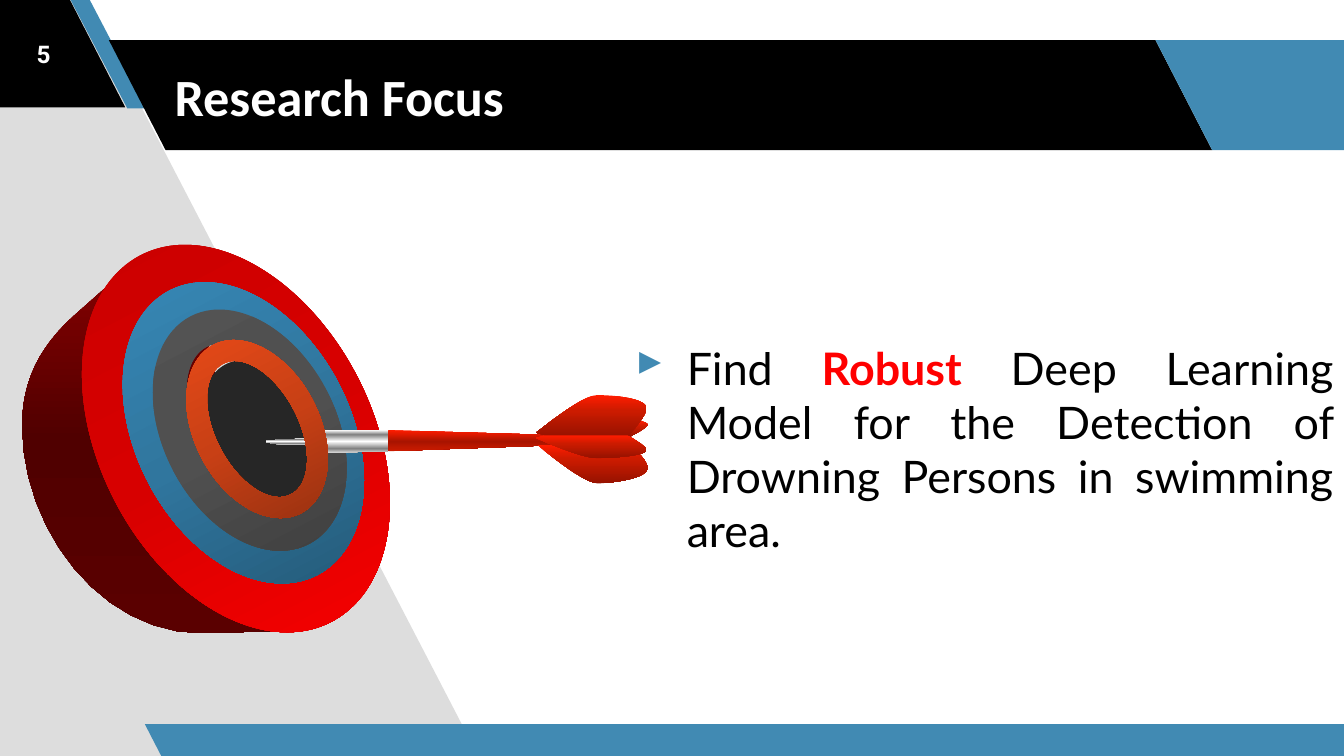
import pptx
import pptx.util
import pptx.dml.color
import pptx.enum.shapes
import pptx.enum.text
import pptx.oxml
import pptx.oxml.ns
from lxml import etree

Cm, Pt = pptx.util.Cm, pptx.util.Pt
RGB = pptx.dml.color.RGBColor.from_string
KIND = pptx.enum.shapes.MSO_SHAPE
ALIGN = pptx.enum.text.PP_ALIGN
MIDDLE = pptx.enum.text.MSO_ANCHOR.MIDDLE
qn = pptx.oxml.ns.qn

HUES = {"black": "000000", "white": "FFFFFF", "blue": "418AB3",
        "grey": "DDDDDD", "red": "FF0000", "hub": "262626"}

# Gradients: angle in degrees clockwise, then (position, colour) stops
FADES = {
    "rim": (90, [(0, "C80000"), (50, "D70000"), (100, "FF0000")]),
    "side": (90, [(0, "8C0000"), (50, "500000"), (100, "5A0000")]),
    "sea": (90, [(0, "388CBC"), (50, "30769E"), (100, "21536F")]),
    "ash": (90, [(0, "535353"), (50, "505050"), (100, "3A3A3A")]),
    "amber": (90, [(0, "ED4C19"), (50, "C84015"), (100, "8C2D0F")]),
    "shaft": (90, [(0, "FF1C00"), (54, "A81400"), (100, "CC1B00")]),
    "fin": (90, [(0, "FF1C00"), (37, "CC1B00"), (100, "961200")]),
    "steel": (90, [(0, "FFFFFF"), (20, "808080"), (50, "FFFFFF"),
                   (82, "808080"), (100, "D9D9D9")]),
}

WEDGE = [(9.04, 14.29), (1.57, -0.1), (-0.15, -0.1), (-0.05, 14.38)]

# left, top, width, height, slant, colour
BANDS = [
    (-2.51, -0.05, 4.88, 2.08, 0.515, "black"),
    (1.32, -0.03, 1.45, 2.08, 0.75, "blue"),
    (2.06, 0.76, 20.85, 2.08, 0.515, "black"),
    (21.84, 0.76, 4.88, 2.08, 0.515, "blue"),
    (2.74, 13.69, 23.24, 0.64, 0.515, "blue"),
]

# Outlines: a pair is a line to a point, six numbers are a Bezier curve
SIDE = [(3.5, 4.65), (2.6, 4.9), (1.42, 5.95),
        (0.75, 6.55, 0.42, 7.2, 0.42, 8.05),
        (0.42, 10.0, 1.9, 11.97, 3.81, 11.97), (5.2, 11.93)]

# centre x, centre y, width, height, ring thickness, fill
TILT = -27.5
RINGS = [
    (4.46, 8.29, 5.15, 7.81, 0.18, "rim"),
    (4.6, 8.18, 4.06, 6.06, 0.18, "sea"),
    (4.72, 8.13, 3.27, 4.85, 0.2, "ash"),
]
HUB = (4.91, 8.13, 1.95, 2.8, None, "hub")
INNER = (4.86, 8.11, 2.37, 3.59, 0.17, "amber")

DART = [
    ("shaft", [(7.34, 8.13), (7.34, 8.53), (10.67, 8.41), (10.67, 8.23)]),
    ("fin", [(10.41, 8.41), (10.16, 8.41),
             (10.16, 8.41, 10.99, 9.12, 11.3, 9.14),
             (11.66, 9.12, 12.24, 9.04, 12.24, 8.84),
             (12.24, 8.79, 12.17, 8.66, 12.09, 8.59),
             (11.91, 8.64, 11.53, 8.66, 11.28, 8.66),
             (11.07, 8.66, 10.69, 8.51, 10.41, 8.41)]),
    ("fin", [(12.09, 7.95), (11.99, 8.1, 11.86, 8.23, 11.86, 8.23),
             (11.89, 8.26), (11.96, 8.23, 12.24, 8.08, 12.24, 8.03),
             (12.24, 8.0, 12.19, 7.98, 12.09, 7.95)]),
    ("fin", [(11.28, 7.47), (11.0, 7.47, 10.21, 8.13, 10.13, 8.18),
             (10.31, 8.23), (11.86, 8.26),
             (11.86, 8.26, 12.22, 7.87, 12.22, 7.72),
             (12.22, 7.54, 11.66, 7.47, 11.3, 7.47)]),
    ("fin", [(11.86, 8.23), (10.29, 8.23), (10.13, 8.28),
             (10.13, 8.28, 10.97, 8.66, 11.28, 8.66),
             (11.63, 8.66, 12.22, 8.61, 12.22, 8.51),
             (12.22, 8.43, 11.86, 8.23, 11.86, 8.23)]),
    ("steel", [(6.15, 8.13), (6.15, 8.56), (7.34, 8.53), (7.34, 8.13)]),
    ("steel", [(6.02, 8.53), (5.99, 8.48), (5.99, 8.2), (6.02, 8.15),
               (6.15, 8.13), (6.15, 8.58)]),
    ("steel", [(5.33, 8.31), (5.03, 8.33), (5.03, 8.36), (5.33, 8.41),
               (5.99, 8.41), (5.99, 8.28)]),
]

# box, font, size, alignment, anchored in the middle, runs (text, colour, bold)
TEXTS = [
    ((3.05, 0.76, 21.03, 2.08), "Calibri", 28, ALIGN.LEFT, True,
     [("Research Focus", "white", True)]),
    ((0, 0, 1.65, 2.03), "Roboto", 13, ALIGN.CENTER, True,
     [("5", "white", True)]),
    ((11.76, 6.2, 13.69, 8.0), "Lato", 24, ALIGN.JUSTIFY, False,
     [("Find ", "black", False), ("Robust", "red", True),
      (" Deep Learning Model for the Detection of Drowning Persons"
       " in swimming area.", "black", False)]),
]


def paint(shape, name):
    """Fill with a flat colour or a gradient, with no line or shadow."""
    shape.shadow.inherit = False
    shape.line.fill.background()
    if name in HUES:
        shape.fill.solid()
        shape.fill.fore_color.rgb = RGB(HUES[name])
        return
    angle, stops = FADES[name]
    shape.fill.gradient()
    grad = shape._element.spPr.find(qn("a:gradFill"))
    grad.find(qn("a:lin")).set("ang", str(angle * 60000))
    gaps = grad.find(qn("a:gsLst"))
    for old in list(gaps):
        gaps.remove(old)
    for pos, hue in stops:
        stop = etree.SubElement(gaps, qn("a:gs"), pos=str(pos * 1000))
        etree.SubElement(stop, qn("a:srgbClr"), val=hue)


def trace(steps, count=12):
    """Turn lines and Bezier curves into a list of points."""
    dots = [steps[0]]
    for step in steps[1:]:
        if len(step) == 2:
            dots.append(step)
            continue
        knots = [dots[-1], step[:2], step[2:4], step[4:]]
        for i in range(1, count + 1):
            t = i / count
            parts = ((1 - t) ** 3, 3 * t * (1 - t) ** 2,
                     3 * t * t * (1 - t), t ** 3)
            dots.append(tuple(sum(w * k[axis] for w, k in zip(parts, knots))
                              for axis in (0, 1)))
    return [(Cm(x), Cm(y)) for x, y in dots]


def outline(shapes, steps, name):
    first, *rest = trace(steps)
    pen = shapes.build_freeform(*first, scale=1.0)
    pen.add_line_segments(rest, close=True)
    paint(pen.convert_to_shape(), name)


def ring(shapes, x, y, wide, high, thick, name):
    kind = KIND.DONUT if thick else KIND.OVAL
    shape = shapes.add_shape(kind, Cm(x - wide / 2), Cm(y - high / 2),
                             Cm(wide), Cm(high))
    if thick:
        shape.adjustments[0] = thick
    shape.rotation = TILT
    paint(shape, name)


def write(shapes, box, font, size, align, mid, runs):
    frame = shapes.add_textbox(*map(Cm, box)).text_frame
    frame.word_wrap = True
    frame.margin_left = frame.margin_right = Cm(0.25)
    frame.margin_top = frame.margin_bottom = Cm(0.25)
    if mid:
        frame.vertical_anchor = MIDDLE
    para = frame.paragraphs[0]
    para.alignment = align
    for text, hue, bold in runs:
        run = para.add_run()
        run.text = text
        run.font.name, run.font.size, run.font.bold = font, Pt(size), bold
        run.font.color.rgb = RGB(HUES[hue])
    return para


def bullet(para, mark, hue, indent):
    props = para._p.get_or_add_pPr()
    props.set("marL", str(Cm(indent)))
    props.set("indent", str(-Cm(indent)))
    tint = etree.SubElement(props, qn("a:buClr"))
    etree.SubElement(tint, qn("a:srgbClr"), val=HUES[hue])
    etree.SubElement(props, qn("a:buChar"), char=mark)


def main():
    deck = pptx.Presentation()
    deck.slide_width, deck.slide_height = Cm(25.4), Cm(14.29)
    shapes = deck.slides.add_slide(deck.slide_layouts[6]).shapes

    outline(shapes, WEDGE, "grey")
    for left, top, wide, high, slant, hue in BANDS:
        band = shapes.add_shape(KIND.PARALLELOGRAM, Cm(left), Cm(top),
                                Cm(wide), Cm(high))
        band.adjustments[0] = slant
        band._element.spPr.xfrm.set("flipH", "1")
        paint(band, hue)

    paras = [write(shapes, *item) for item in TEXTS]
    bullet(paras[-1], "▸", "blue", 0.97)

    outline(shapes, SIDE, "side")
    for item in RINGS + [HUB]:
        ring(shapes, *item)
    dart = shapes.add_group_shape().shapes
    for name, steps in DART:
        outline(dart, steps, name)
    ring(shapes, *INNER)

    deck.save("out.pptx")


if __name__ == "__main__":
    main()
